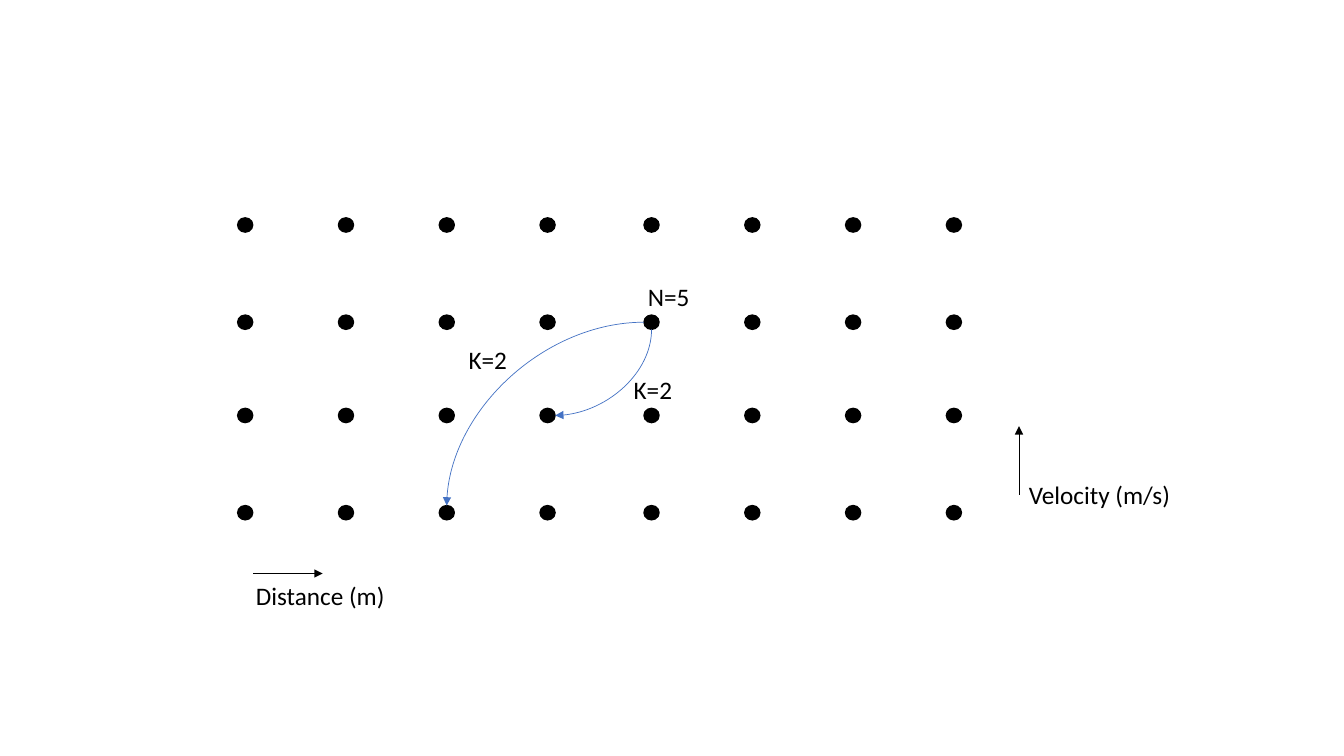
from itertools import product

from lxml import etree
from pptx import Presentation
from pptx.dml.color import RGBColor
from pptx.enum.shapes import MSO_CONNECTOR, MSO_SHAPE
from pptx.enum.text import MSO_AUTO_SIZE
from pptx.oxml.ns import qn
from pptx.util import Cm, Pt

BLACK = RGBColor(0x00, 0x00, 0x00)
BLUE = RGBColor(0x44, 0x72, 0xC4)
DOT = MSO_SHAPE.FLOWCHART_CONNECTOR
STRAIGHT = MSO_CONNECTOR.STRAIGHT
CURVE = MSO_CONNECTOR.CURVE
FIT_SHAPE = MSO_AUTO_SIZE.SHAPE_TO_FIT_TEXT

DOT_WIDTH, DOT_HEIGHT = 0.38, 0.36
BLOCK_LEFTS, BLOCK_TOPS = (5.99, 16.23), (5.49, 10.29)
COLUMN_STEP, ROW_STEP = 2.54, 2.45
COLUMNS = [left + COLUMN_STEP * step for left in BLOCK_LEFTS for step in range(4)]
ROWS = [top + ROW_STEP * step for top in BLOCK_TOPS for step in range(2)]

LABEL_FONT = {"name": "Calibri", "size": Pt(18)}
LABELS = [
    ("Distance (m)", 6.2, 14.5, 4.45),
    ("Velocity (m/s)", 25.68, 11.96, 4.57),
    ("K=2", 11.56, 8.56, 1.78),
    ("K=2", 15.72, 9.32, 1.78),
    ("N=5", 16.08, 6.96, 1.78),
]
AXES = [
    ((6.38, 14.45), (8.13, 14.45)),
    ((25.68, 12.47), (25.68, 10.74)),
]


def add_dot(slide, left, top):
    """Add one black grid dot."""
    shape = slide.shapes.add_shape(
        DOT, Cm(left), Cm(top), Cm(DOT_WIDTH), Cm(DOT_HEIGHT)
    )
    shape.shadow.inherit = False
    shape.fill.solid()
    shape.fill.fore_color.rgb = BLACK
    shape.line.color.rgb = BLACK
    shape.line.width = Pt(1)


def add_label(slide, text, left, top, width):
    """Add a one-line text label."""
    shape = slide.shapes.add_textbox(Cm(left), Cm(top), Cm(width), Cm(1.03))
    frame = shape.text_frame
    frame.word_wrap = True
    frame.auto_size = FIT_SHAPE
    run = frame.paragraphs[0].add_run()
    run.text = text
    for attribute, value in LABEL_FONT.items():
        setattr(run.font, attribute, value)
    run.font.color.rgb = BLACK


def add_arrow(slide, kind, start, end, color):
    """Add a thin connector with a triangle at its end."""
    connector = slide.shapes.add_connector(
        kind, *(Cm(value) for value in (*start, *end))
    )
    connector.line.color.rgb = color
    connector.line.width = Pt(0.5)
    line = connector.line._get_or_add_ln()
    etree.SubElement(line, qn("a:tailEnd"), type="triangle")
    etree.SubElement(connector._element.spPr, qn("a:effectLst"))
    return connector


def add_bend(slide, start, end, leaves_down=False):
    """Add a blue quarter curve that leaves its start sideways or downwards."""
    if leaves_down:
        middle_x, middle_y = ((a + b) / 2 for a, b in zip(start, end))
        start, end = (
            (middle_x + y - middle_y, middle_y - x + middle_x)
            for x, y in (start, end)
        )
    connector = add_arrow(slide, CURVE, start, end, BLUE)
    properties = connector._element.spPr
    properties.find(qn("a:prstGeom")).set("prst", "curvedConnector2")
    if leaves_down:
        properties.find(qn("a:xfrm")).set("rot", "5400000")


def dot_point(row, column, across, down):
    """Return a point on a dot, given as fractions of its width and height."""
    return COLUMNS[column] + across * DOT_WIDTH, ROWS[row] + down * DOT_HEIGHT


def main():
    """Build the distance and velocity grid."""
    presentation = Presentation()
    presentation.slide_width, presentation.slide_height = Cm(33.87), Cm(19.05)
    slide = presentation.slides.add_slide(presentation.slide_layouts[6])
    for top, left in product(ROWS, COLUMNS):
        add_dot(slide, left, top)
    for label in LABELS:
        add_label(slide, *label)
    for start, end in AXES:
        add_arrow(slide, STRAIGHT, start, end, BLACK)
    add_bend(slide, dot_point(1, 4, 0.5, 1), dot_point(2, 3, 1, 0.5), True)
    add_bend(slide, dot_point(1, 4, 0, 0.5), dot_point(3, 2, 0.5, 0))
    presentation.save("out.pptx")


if __name__ == "__main__":
    main()
